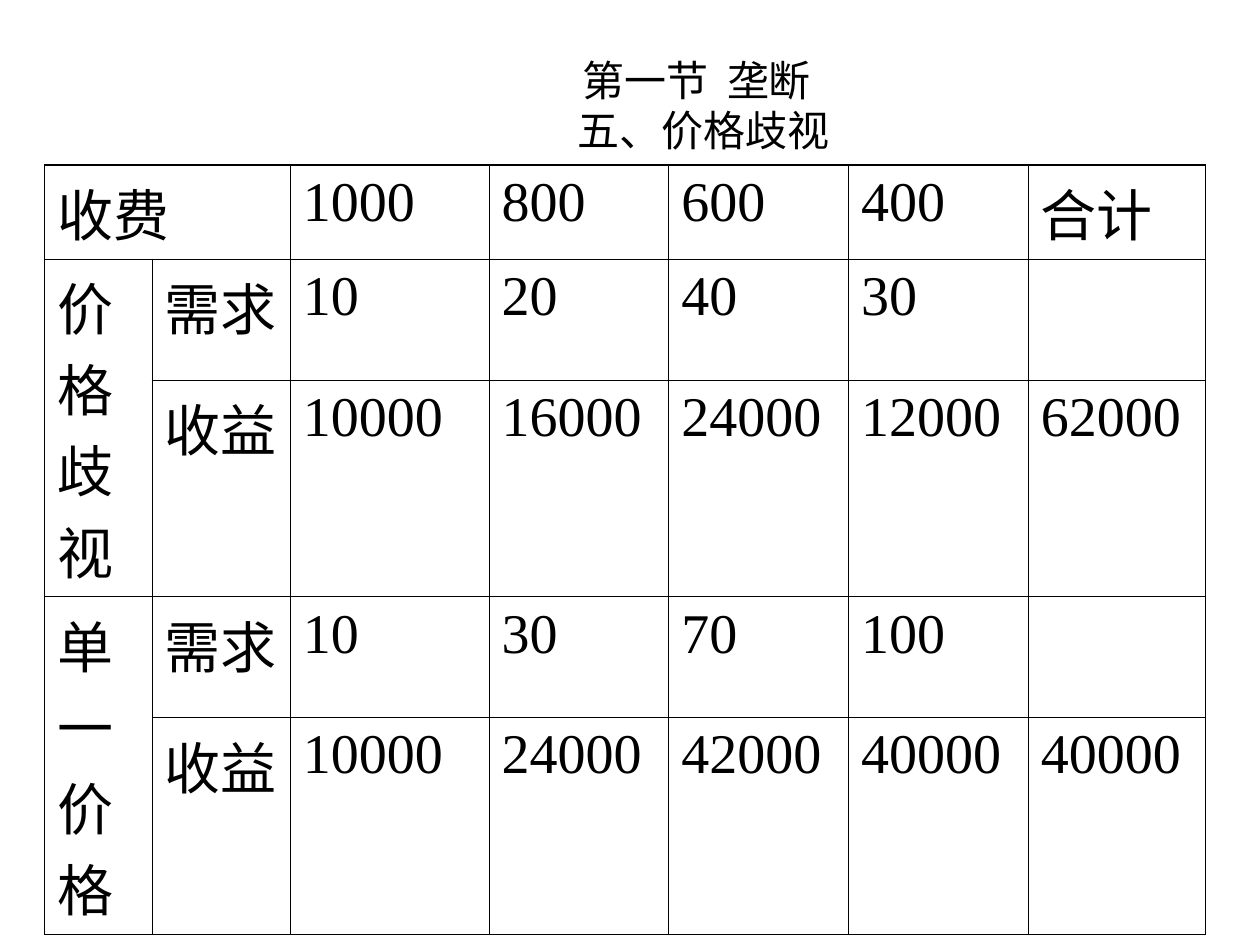
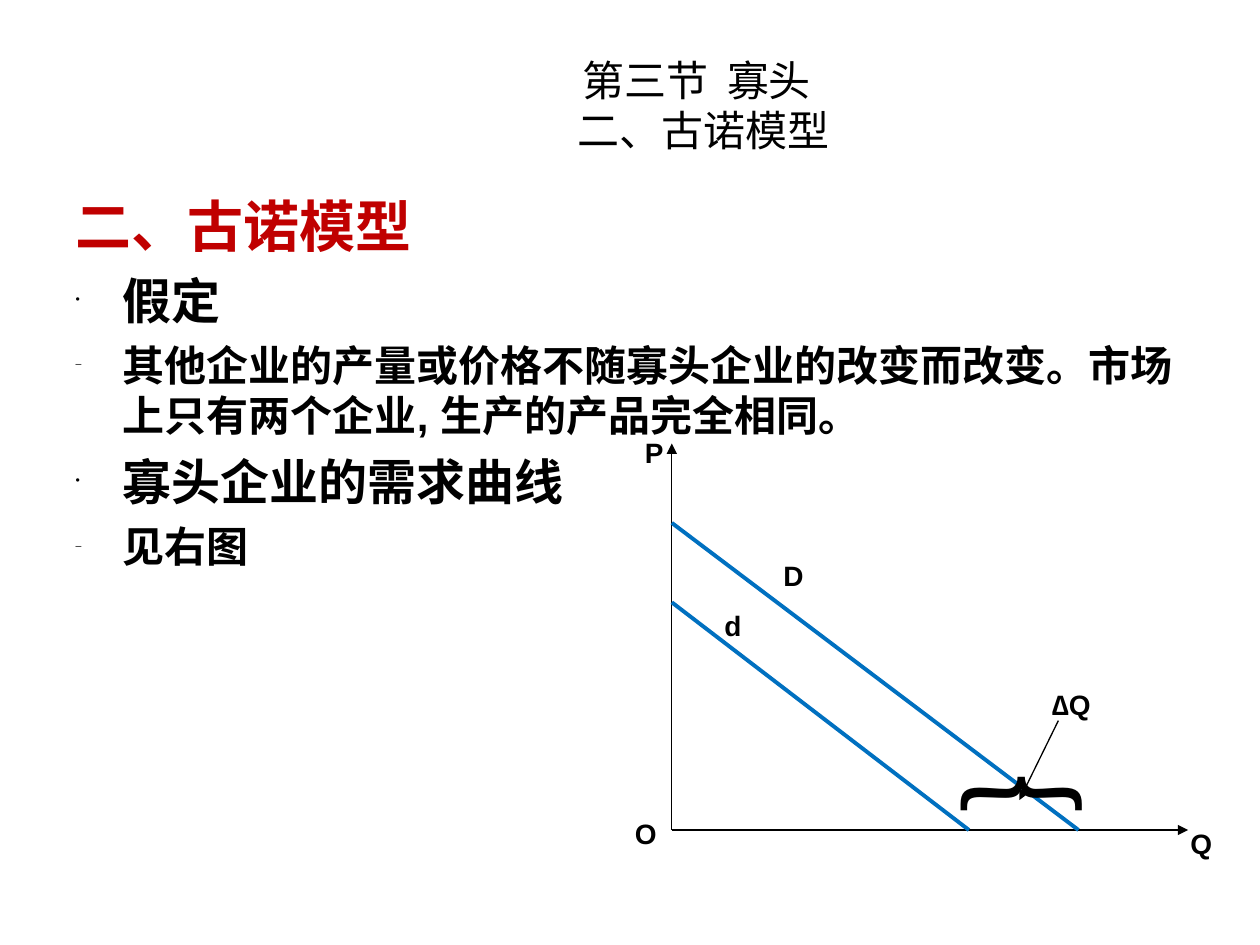
from lxml.etree import SubElement
from pptx import Presentation
from pptx.dml.color import RGBColor
from pptx.enum.shapes import MSO_CONNECTOR
from pptx.enum.text import MSO_ANCHOR, MSO_AUTO_SIZE, PP_ALIGN
from pptx.oxml import parse_xml
from pptx.oxml.ns import nsdecls, qn
from pptx.util import Pt

COLOURS = {"ink": "000000", "heading": "C00000", "demand": "0070C0"}
CJK = "Noto Sans CJK SC"
LATIN = "Arial"
SERIF = "Times New Roman"
LINE_RATIO = 1.19
THIN, THICK = 0.45, 1.08


def rgb(name):
    return RGBColor.from_string(COLOURS[name])


def write(paragraph, text, size=16, font=LATIN, colour="ink", bold=False,
          before=0, indent=0, hanging=0, bullet=None, exact=False):
    paragraph.alignment = PP_ALIGN.LEFT
    paragraph.space_before = Pt(before)
    if exact:
        paragraph.line_spacing = Pt(round(size * LINE_RATIO, 1))
    properties = paragraph._p.get_or_add_pPr()
    properties.set("marL", str(Pt(indent)))
    properties.set("indent", str(Pt(-hanging)))
    if bullet:
        mark_colour = SubElement(properties, qn("a:buClr"))
        SubElement(mark_colour, qn("a:srgbClr"), val=COLOURS["ink"])
        SubElement(properties, qn("a:buSzPct"), val="25000")
        SubElement(properties, qn("a:buFont"), typeface=LATIN)
        SubElement(properties, qn("a:buChar"), char=bullet)
    else:
        SubElement(properties, qn("a:buNone"))
    run = paragraph.add_run()
    run.text = text
    run.font.size = Pt(size)
    run.font.bold = bold
    run.font.color.rgb = rgb(colour)
    run.font.name = font
    SubElement(run._r.get_or_add_rPr(), qn("a:ea"), typeface=CJK)


def place(shape, left, top, width, height):
    shape.left, shape.top = Pt(left), Pt(top)
    shape.width, shape.height = Pt(width), Pt(height)


class Deck:
    def __init__(self):
        self.presentation = Presentation()
        self.presentation.slide_width = Pt(720)
        self.presentation.slide_height = Pt(540)
        self.slide = None

    def new_slide(self, layout, section, topic):
        layouts = self.presentation.slide_layouts
        self.slide = self.presentation.slides.add_slide(layouts.get_by_name(layout))
        title = self.slide.shapes.title
        place(title, 36, 26.2, 648, 68)
        frame = title.text_frame
        frame.auto_size = MSO_AUTO_SIZE.NONE
        frame.vertical_anchor = MSO_ANCHOR.MIDDLE
        write(frame.paragraphs[0], section, size=24, font=CJK, indent=289.5, exact=True)
        write(frame.add_paragraph(), topic, size=24, font=CJK, indent=287, exact=True)

    def outline(self, heading, items):
        body = self.slide.placeholders[1]
        place(body, 36, 106, 648, 310)
        frame = body.text_frame
        frame.auto_size = MSO_AUTO_SIZE.NONE
        write(frame.paragraphs[0], heading, size=32, colour="heading", bold=True,
              indent=27, hanging=27, exact=True)
        for level, text in items:
            paragraph = frame.add_paragraph()
            paragraph.level = level
            size, before, bullet = ((28, 7, "•"), (24, 6, "–"))[level]
            write(paragraph, text, size=size, before=before, bullet=bullet,
                  bold=True, indent=27, hanging=27, exact=True)

    def label(self, text, left, top, width, height=26.6, rotation=0, **style):
        box = self.slide.shapes.add_textbox(Pt(left), Pt(top), Pt(width), Pt(height))
        box.rotation = rotation
        box.text_frame.word_wrap = True
        write(box.text_frame.paragraphs[0], text, **style)

    def line(self, start, end, colour="ink", width=0.75, arrow=False):
        connector = self.slide.shapes.add_connector(
            MSO_CONNECTOR.STRAIGHT, *map(Pt, start + end))
        connector.line.color.rgb = rgb(colour)
        connector.line.width = Pt(width)
        if arrow:
            SubElement(connector.line._get_or_add_ln(), qn("a:tailEnd"), type="triangle")
        SubElement(connector._element.spPr, qn("a:effectLst"))

    def table(self, rows, left, top, widths, heights, merges):
        table = self.slide.shapes.add_table(
            len(rows), len(widths), Pt(left), Pt(top),
            Pt(sum(widths)), Pt(sum(heights))).table
        table.first_row = table.horz_banding = False
        for column, width in zip(table.columns, widths):
            column.width = Pt(width)
        for row, height in zip(table.rows, heights):
            row.height = Pt(height)
        for first, last in merges:
            table.cell(*first).merge(table.cell(*last))
        for r, values in enumerate(rows):
            for c, value in enumerate(values):
                cell = table.cell(r, c)
                cell.fill.background()
                if value:
                    write(cell.text_frame.paragraphs[0], value, size=32, font=SERIF)
                self.borders(cell, {
                    "L": c == 0,
                    "R": c + cell.span_width == len(widths),
                    "T": r == 0,
                    "B": r + cell.span_height == len(rows)})

    def borders(self, cell, outer_sides):
        properties = cell._tc.get_or_add_tcPr()
        for position, (side, outer) in enumerate(outer_sides.items()):
            width = Pt(THICK if outer else THIN)
            properties.insert(position, parse_xml(
                f'<a:ln{side} {nsdecls("a")} w="{width}"><a:solidFill>'
                f'<a:srgbClr val="{COLOURS["ink"]}"/></a:solidFill></a:ln{side}>'))


def build_price_discrimination(deck):
    deck.new_slide("Title Only", "第一节  垄断", "五、价格歧视")
    revenue_rows = [
        ["收费", "", "1000", "800", "600", "400", "合计"],
        ["价格歧视", "需求", "10", "20", "40", "30", ""],
        ["", "收益", "10000", "16000", "24000", "12000", "62000"],
        ["单一价格", "需求", "10", "30", "70", "100", ""],
        ["", "收益", "10000", "24000", "42000", "40000", "40000"],
    ]
    deck.table(revenue_rows, 25.4, 94.4,
               widths=[61.5, 79, 113.6] + [102.7] * 3 + [101.3],
               heights=[53.5] + [69.1, 123.5] * 2,
               merges=[((0, 0), (0, 1)), ((1, 0), (2, 0)), ((3, 0), (4, 0))])


def build_cournot(deck):
    deck.new_slide("Title and Content", "第三节  寡头", "二、古诺模型")
    deck.outline("二、古诺模型", [
        (0, "假定"),
        (1, "其他企业的产量或价格不随寡头企业的改变而改变。"
            "市场上只有两个企业, 生产的产品完全相同。"),
        (0, "寡头企业的需求曲线"),
        (1, "见右图"),
    ])
    origin_x, origin_y = origin = (383.9, 474.3)
    for axis_end in ((origin_x, 253.4), (679, origin_y)):
        deck.line(origin, axis_end, arrow=True)
    for price_intercept, quantity_intercept in ((298.8, 616.3), (344.2, 553.7)):
        deck.line((origin_x, price_intercept), (quantity_intercept, origin_y),
                  colour="demand", width=2.25)
    for text, left, top, width in (
            ("P", 361.4, 245.5, 31.7), ("O", 355.7, 463, 24.5),
            ("Q", 673.2, 468.7, 24.5), ("d", 406.8, 344.2, 33.8),
            ("D", 440.6, 315.4, 24.5), ("∆Q", 594, 389.5, 53.3)):
        deck.label(text, left, top, width, bold=True)
    deck.line((604.8, 411.8), (582.5, 457.2), arrow=True)
    deck.label("{", 574.8, 402.5, 29.5, 93.6, rotation=90, size=72, font=CJK, exact=True)


def main():
    deck = Deck()
    build_price_discrimination(deck)
    build_cournot(deck)
    deck.presentation.save("out.pptx")


if __name__ == "__main__":
    main()
